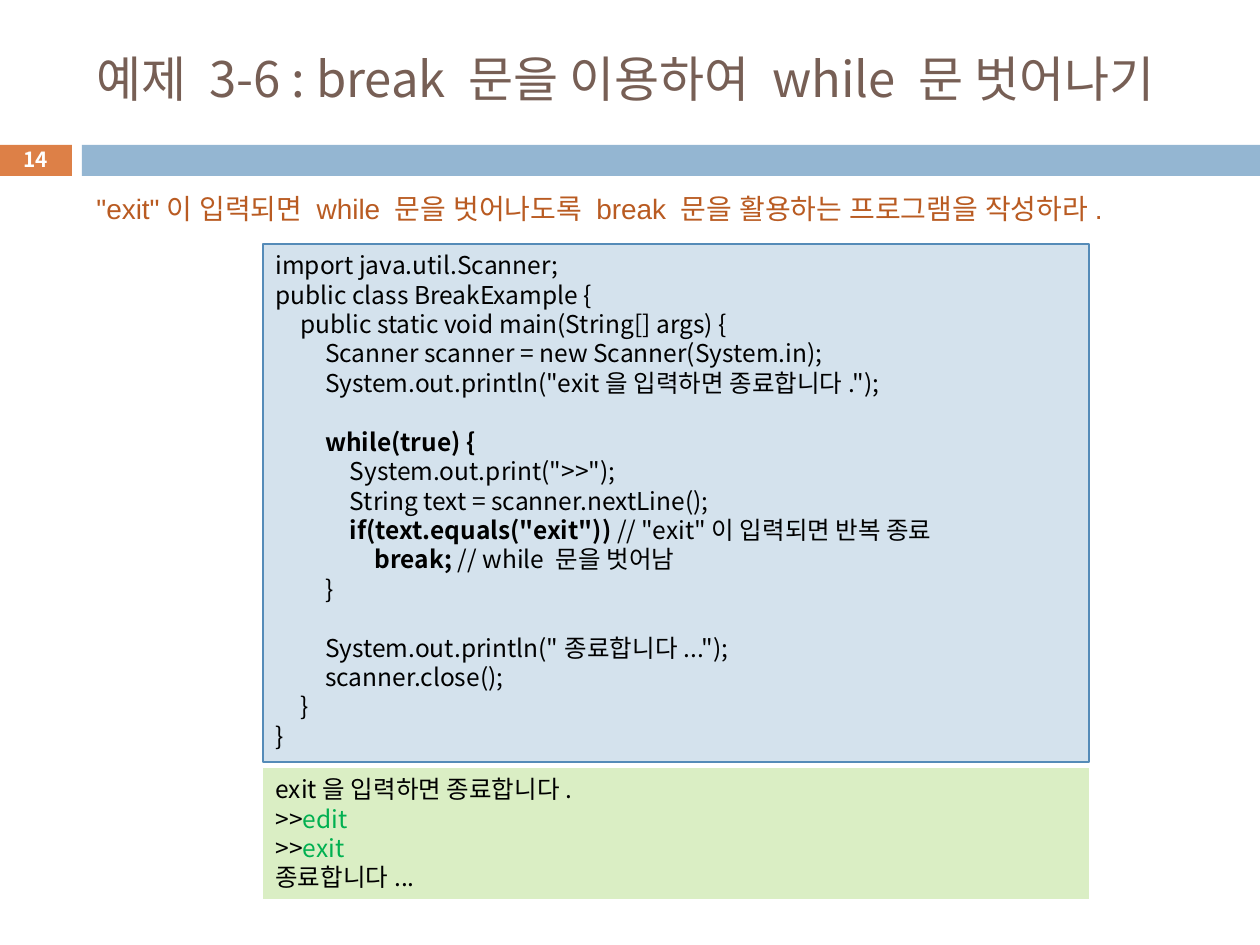
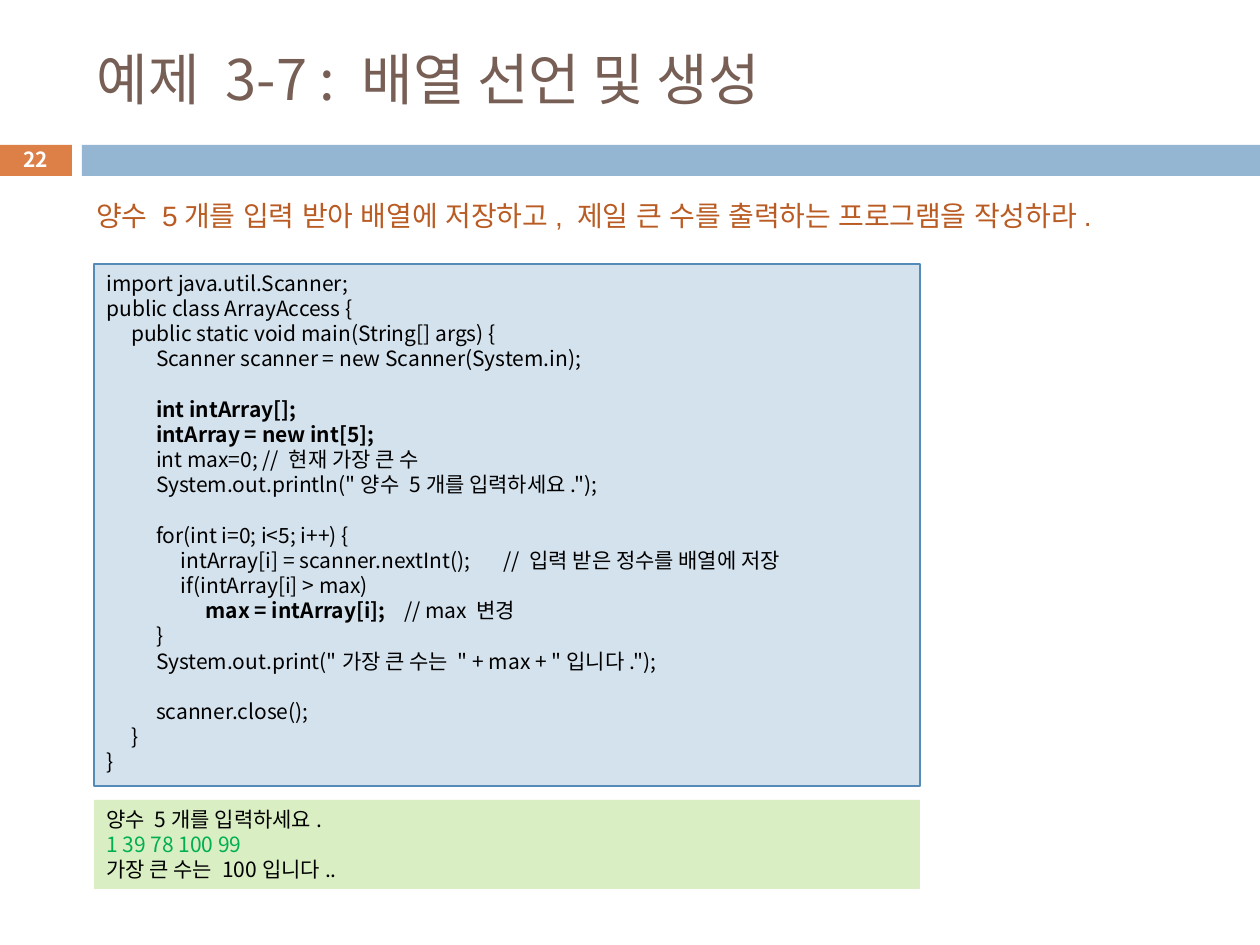
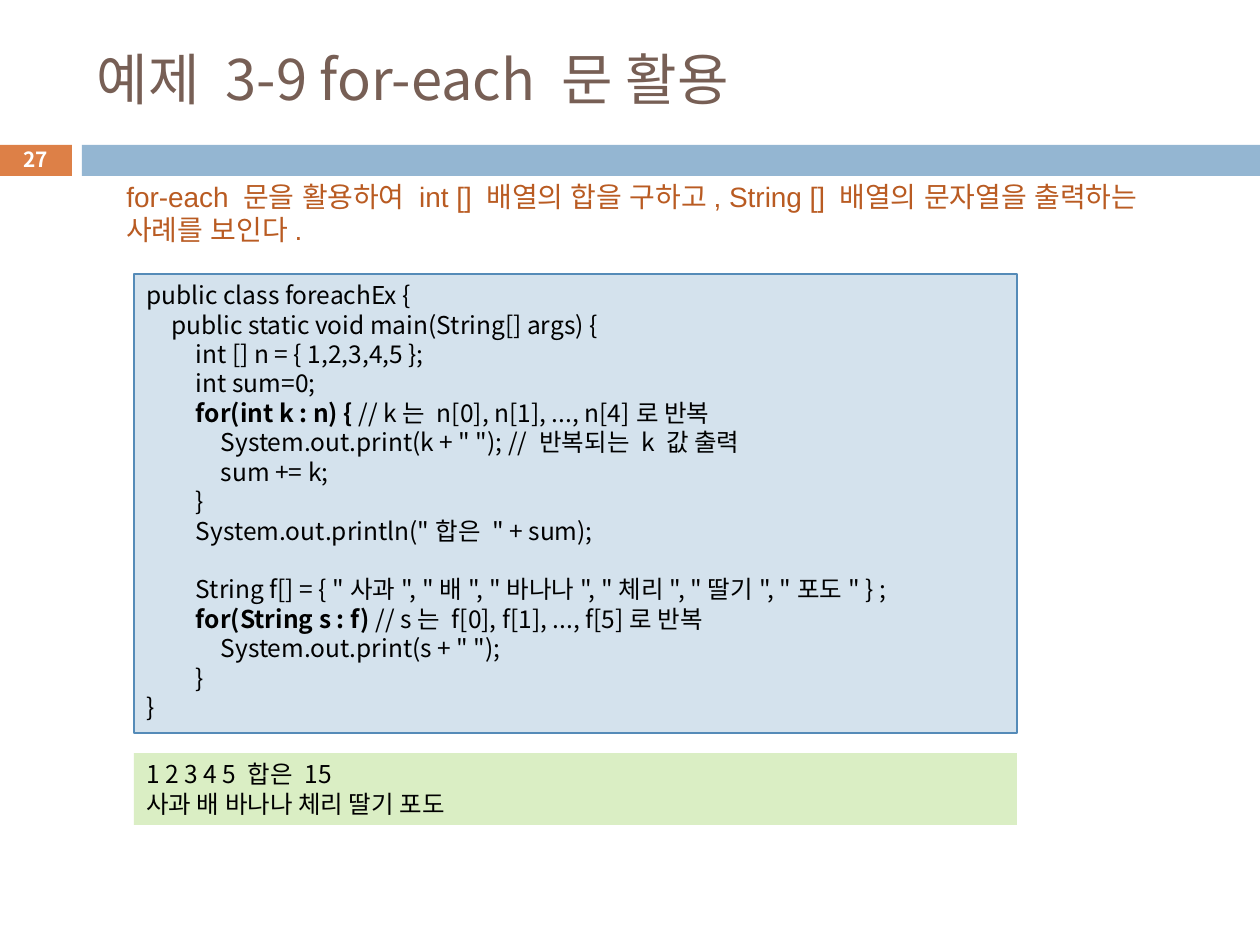
from dataclasses import dataclass

from lxml.etree import SubElement
from pptx import Presentation
from pptx.dml.color import RGBColor
from pptx.enum.shapes import MSO_SHAPE
from pptx.enum.text import MSO_ANCHOR, MSO_AUTO_SIZE, PP_ALIGN
from pptx.oxml.ns import qn
from pptx.util import Cm, Inches, Pt

PX = Inches(1) / 126


@dataclass(frozen=True)
class Theme:
    """Colours, fonts and type sizes of the deck."""
    title: str = "775F55"
    intro: str = "B95B22"
    badge: str = "DD8047"
    band: str = "94B6D2"
    code: str = "D4E2ED"
    edge: str = "558BB8"
    output: str = "DAEEC4"
    typed: str = "00B050"
    ink: str = "000000"
    paper: str = "FFFFFF"
    font: str = "Noto Sans CJK KR"
    intro_font: str = "Arial"
    intro_size: float = 16
    badge_size: float = 11.9
    leading: float = 1.2
    tab: int = Cm(0.5)
    tab_count: int = 20


def px(*lengths):
    """Turn pixel lengths into EMU."""
    return [round(n * PX) for n in lengths]


def write(p, text, *, size, color, font, bold=False, align=PP_ALIGN.LEFT):
    """Add a formatted run to a paragraph."""
    p.alignment = align
    r = p.add_run()
    r.text = text
    r.font.name = font
    r.font.size = Pt(size)
    r.font.bold = bold
    r.font.color.rgb = RGBColor.from_string(color)
    SubElement(r.font._element, qn("a:ea"), typeface=font)


class Deck:
    """Holds the theme and the current slide."""

    def __init__(self, theme):
        """Start a 10 by 7.5 inch presentation."""
        self.theme = theme
        self.prs = Presentation()
        self.prs.slide_width, self.prs.slide_height = px(1260, 945)
        self.layout = self.prs.slide_layouts[5]
        self.s = None

    def slide(self, title, number, size=32):
        """Open a slide with its title and page number."""
        t = self.theme
        first = self.s is None
        self.s = self.prs.slides.add_slide(self.layout)
        if first:
            self.bands()
        sp = self.s.shapes.title
        sp.left, sp.top, sp.width, sp.height = px(84, 31, 1124, 94)
        tf = self.frame(sp, MSO_ANCHOR.MIDDLE)
        write(tf.paragraphs[0], title, size=size, color=t.title, font=t.font)
        tf = self.textbox((-1, 142, 73, 34), MSO_ANCHOR.MIDDLE)
        write(tf.paragraphs[0], str(number), size=t.badge_size, color=t.paper,
              font=t.font, bold=True, align=PP_ALIGN.CENTER)

    def bands(self):
        """Put the badge and the band on the shared layout."""
        for box, fill in (((-1, 145, 73, 31), self.theme.badge),
                          ((82, 145, 1178, 31), self.theme.band)):
            sp = self.rect(box, fill)
            self.layout.shapes.element.append(sp.element)

    def frame(self, sp, anchor=MSO_ANCHOR.TOP):
        """Set up the text frame of a shape."""
        tf = sp.text_frame
        tf.word_wrap = True
        tf.auto_size = MSO_AUTO_SIZE.NONE
        tf.vertical_anchor = anchor
        return tf

    def textbox(self, box, anchor=MSO_ANCHOR.TOP):
        """Add a text box and return its frame."""
        return self.frame(self.s.shapes.add_textbox(*px(*box)), anchor)

    def rect(self, box, fill, line=None):
        """Add a flat rectangle."""
        sp = self.s.shapes.add_shape(MSO_SHAPE.RECTANGLE, *px(*box))
        sp.shadow.inherit = False
        sp.fill.solid()
        sp.fill.fore_color.rgb = RGBColor.from_string(fill)
        if line:
            sp.line.color.rgb = RGBColor.from_string(line)
            sp.line.width = Pt(0.75)
        else:
            sp.line.fill.background()
        return sp

    def intro(self, text, box):
        """Add the task statement."""
        t = self.theme
        write(self.textbox(box).paragraphs[0], text, size=t.intro_size,
              color=t.intro, font=t.intro_font)

    def listing(self, sp, text, size, **marked):
        """Fill a shape with lines whose backticked parts are marked."""
        t = self.theme
        tf = self.frame(sp)
        line_height = Pt(size * t.leading)
        p, gap = None, 0
        for line in text.strip().splitlines():
            if not line:
                gap += line_height
                continue
            p = tf.add_paragraph() if p else tf.paragraphs[0]
            tabs = SubElement(p._p.get_or_add_pPr(), qn("a:tabLst"))
            for i in range(1, t.tab_count + 1):
                SubElement(tabs, qn("a:tab"), pos=str(i * t.tab), algn="l")
            p.line_spacing = line_height
            p.space_before, gap = gap, 0
            plain = dict(size=size, color=t.ink, font=t.font)
            for i, part in enumerate(line.replace("    ", "\t").split("`")):
                if part:
                    write(p, part, **(plain | marked if i % 2 else plain))

    def code(self, text, box, size=14):
        """Add a source code panel with bold key parts."""
        sp = self.rect(box, self.theme.code, self.theme.edge)
        self.listing(sp, text, size, bold=True)

    def output(self, text, box, size=14):
        """Add a console panel with coloured user input."""
        sp = self.rect(box, self.theme.output)
        self.listing(sp, text, size, color=self.theme.typed)


BREAK_CODE = """
import java.util.Scanner;
public class BreakExample {
    public static void main(String[] args) {
        Scanner scanner = new Scanner(System.in);
        System.out.println("exit을 입력하면 종료합니다.");

        `while(true) {`
            System.out.print(">>");
            String text = scanner.nextLine();
            `if(text.equals("exit")) `// "exit"이 입력되면 반복 종료
                `break; `// while 문을 벗어남
        }

        System.out.println("종료합니다...");
        scanner.close();
    }
}
"""

BREAK_OUTPUT = """
exit을 입력하면 종료합니다.
>>`edit`
>>`exit`
종료합니다...
"""

ARRAY_CODE = """
import java.util.Scanner;
public class ArrayAccess {
    public static void main(String[] args) {
        Scanner scanner = new Scanner(System.in);

        `int intArray[];`
        `intArray = new int[5];`
        int max=0; // 현재 가장 큰 수
        System.out.println("양수 5개를 입력하세요.");

        for(int i=0; i<5; i++) {
            intArray[i] = scanner.nextInt(); \t\t// 입력 받은 정수를 배열에 저장
            if(intArray[i] > max)
                `max = intArray[i]; `\t// max 변경
        }
        System.out.print("가장 큰 수는 " + max + "입니다.");

        scanner.close();
    }
}
"""

ARRAY_OUTPUT = """
양수 5개를 입력하세요.
`1 39 78 100 99`
가장 큰 수는 100입니다..
"""

FOREACH_CODE = """
public class foreachEx {
    public static void main(String[] args) {
        int [] n = { 1,2,3,4,5 };
        int sum=0;
        `for(int k : n) { `// k는 n[0], n[1], ..., n[4]로 반복
            System.out.print(k + " "); // 반복되는 k 값 출력
            sum += k;
        }
        System.out.println("합은 " + sum);

        String f[] = { "사과", "배", "바나나", "체리", "딸기", "포도" } ;
        `for(String s : f) `// s는 f[0], f[1], ..., f[5]로 반복
            System.out.print(s + " ");
        }
}
"""

FOREACH_OUTPUT = """
1 2 3 4 5 합은 15
사과 배 바나나 체리 딸기 포도
"""


def main():
    """Build the three example slides."""
    deck = Deck(Theme())

    deck.slide("예제 3-6 : break 문을 이용하여 while 문 벗어나기", 14, size=28)
    deck.intro('"exit"이 입력되면 while 문을 벗어나도록 break 문을 활용하는 프로그램을 작성하라.',
               (84, 185, 1100, 47))
    deck.code(BREAK_CODE, (263, 244, 826, 518))
    deck.output(BREAK_OUTPUT, (263, 768, 826, 131))

    deck.slide("예제 3-7 : 배열 선언 및 생성", 22)
    deck.intro("양수 5개를 입력 받아 배열에 저장하고, 제일 큰 수를 출력하는 프로그램을 작성하라.",
               (84, 192, 1106, 47))
    deck.code(ARRAY_CODE, (94, 264, 826, 522), size=12)
    deck.output(ARRAY_OUTPUT, (94, 800, 826, 89), size=12)

    deck.slide("예제 3-9 for-each 문 활용", 27)
    deck.intro("for-each 문을 활용하여 int [] 배열의 합을 구하고, "
               "String [] 배열의 문자열을 출력하는 사례를 보인다.",
               (114, 173, 1081, 81))
    deck.code(FOREACH_CODE, (134, 274, 883, 459))
    deck.output(FOREACH_OUTPUT, (134, 753, 883, 72))

    deck.prs.save("out.pptx")


if __name__ == "__main__":
    main()
